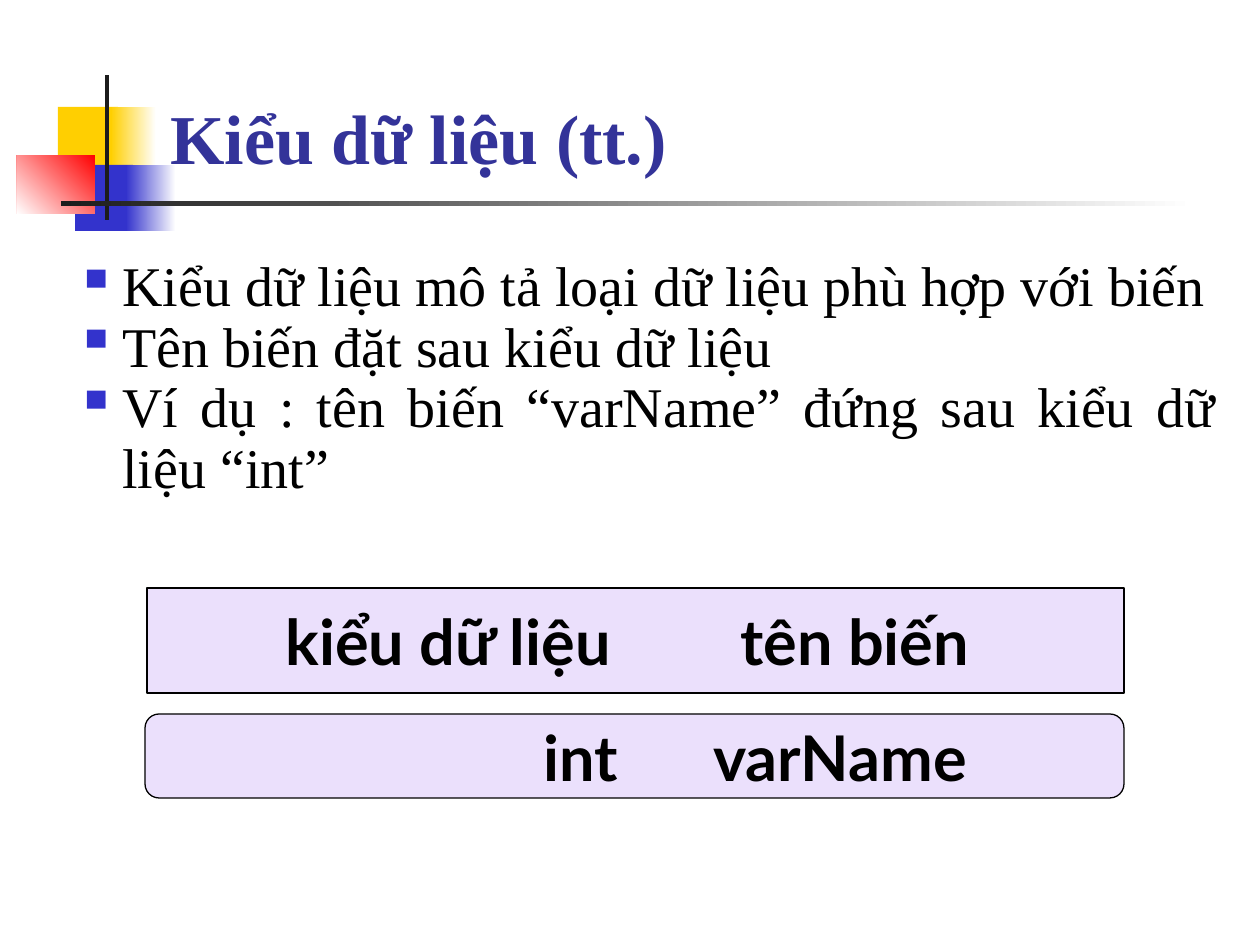
from lxml import etree
from pptx import Presentation
from pptx.dml.color import RGBColor
from pptx.enum.shapes import MSO_SHAPE
from pptx.enum.text import MSO_ANCHOR, PP_ALIGN
from pptx.oxml.ns import qn
from pptx.util import Pt

RECTANGLE = MSO_SHAPE.RECTANGLE
ROUNDED = MSO_SHAPE.ROUNDED_RECTANGLE
JUSTIFY = PP_ALIGN.JUSTIFY
LEFT = PP_ALIGN.LEFT
TOP, MIDDLE, BOTTOM = MSO_ANCHOR.TOP, MSO_ANCHOR.MIDDLE, MSO_ANCHOR.BOTTOM
EMU_PER_PX = 914400 // 126


def px(length):
    return length * EMU_PER_PX


def color(value):
    return RGBColor.from_string(value)


class SlideBuilder:
    serif = "Times New Roman"
    sans = "Lato"
    black = "000000"
    white = "FFFFFF"
    gold = "FFCF01"
    blue = "3333CC"
    red = "FF0000"
    dark = "1C1C1C"
    title_color = "333399"
    panel = "EBE0FC"

    def __init__(self, slide):
        self.slide = slide

    def block(self, box, fill, kind=RECTANGLE):
        shape = self.slide.shapes.add_shape(kind, *map(px, box))
        shape.shadow.inherit = False
        shape.line.fill.background()
        shape.fill.solid()
        shape.fill.fore_color.rgb = color(fill)
        return shape

    def gradient(self, box, start, end, angle=180):
        fill = self.block(box, start).fill
        fill.gradient()
        fill.gradient_angle = angle
        for stop, value in zip(fill.gradient_stops, (start, end)):
            stop.color.rgb = color(value)

    def set_font(self, paragraph, name, size, value, bold):
        font = paragraph.font
        font.name, font.size, font.bold = name, Pt(size), bold
        font.color.rgb = color(value)

    def text_frame(self, box, anchor):
        frame = self.slide.shapes.add_textbox(*map(px, box)).text_frame
        frame.word_wrap = True
        frame.vertical_anchor = anchor
        return frame

    def title(self, box, text):
        paragraph = self.text_frame(box, BOTTOM).paragraphs[0]
        paragraph.text = text
        self.set_font(paragraph, self.serif, 40, self.title_color, True)

    def bullets(self, box, items, indent):
        frame = self.text_frame(box, TOP)
        for index, item in enumerate(items):
            paragraph = frame.add_paragraph() if index else frame.paragraphs[0]
            paragraph.text = item
            paragraph.alignment = JUSTIFY
            paragraph.line_spacing = 0.9
            properties = paragraph._p.get_or_add_pPr()
            properties.set("marL", str(px(indent)))
            properties.set("indent", str(-px(indent)))
            bullet_color = etree.SubElement(properties, qn("a:buClr"))
            etree.SubElement(bullet_color, qn("a:srgbClr"), val=self.blue)
            etree.SubElement(properties, qn("a:buChar"), char="▪")
            self.set_font(paragraph, self.serif, 32, self.black, False)

    def syntax_panel(self, box, kind, columns):
        shape = self.block(box, self.panel, kind)
        shape.line.color.rgb = color(self.black)
        shape.line.width = Pt(0.75)
        frame = shape.text_frame
        frame.word_wrap = True
        frame.vertical_anchor = MIDDLE
        paragraph = frame.paragraphs[0]
        paragraph.alignment = LEFT
        paragraph.text = "".join("\t" + word for word in columns.values())
        tabs = etree.SubElement(paragraph._p.get_or_add_pPr(), qn("a:tabLst"))
        for position in columns:
            etree.SubElement(tabs, qn("a:tab"), pos=str(px(position)), algn="l")
        self.set_font(paragraph, self.sans, 36, self.black, True)


def main():
    presentation = Presentation()
    presentation.slide_width = px(1260)
    presentation.slide_height = px(945)
    slide = presentation.slides.add_slide(presentation.slide_layouts[6])
    builder = SlideBuilder(slide)

    builder.block((58, 107, 60, 66), builder.gold)
    builder.gradient((111, 107, 45, 66), builder.white, builder.gold)
    builder.block((75, 165, 58, 66), builder.blue)
    builder.gradient((126, 165, 50, 66), builder.white, builder.blue)
    builder.gradient((17, 155, 78, 59), builder.red, builder.white, 225)
    builder.block((105, 75, 4, 145), builder.dark)
    builder.gradient((61, 201, 1134, 5), builder.white, builder.dark)

    builder.title((158, 112, 1060, 73), "Kiểu dữ liệu (tt.)")
    builder.syntax_panel((147, 588, 977, 105), RECTANGLE,
                         {126: "kiểu dữ liệu", 581: "tên biến"})
    builder.syntax_panel((145, 714, 979, 84), ROUNDED,
                         {382: "int", 552: "varName"})
    builder.bullets((63, 252, 1166, 255), (
        "Kiểu dữ liệu mô tả loại dữ liệu phù hợp với biến",
        "Tên biến đặt sau kiểu dữ liệu",
        "Ví dụ : tên biến “varName” đứng sau kiểu dữ liệu “int”",
    ), 47)

    presentation.save("out.pptx")


if __name__ == "__main__":
    main()
